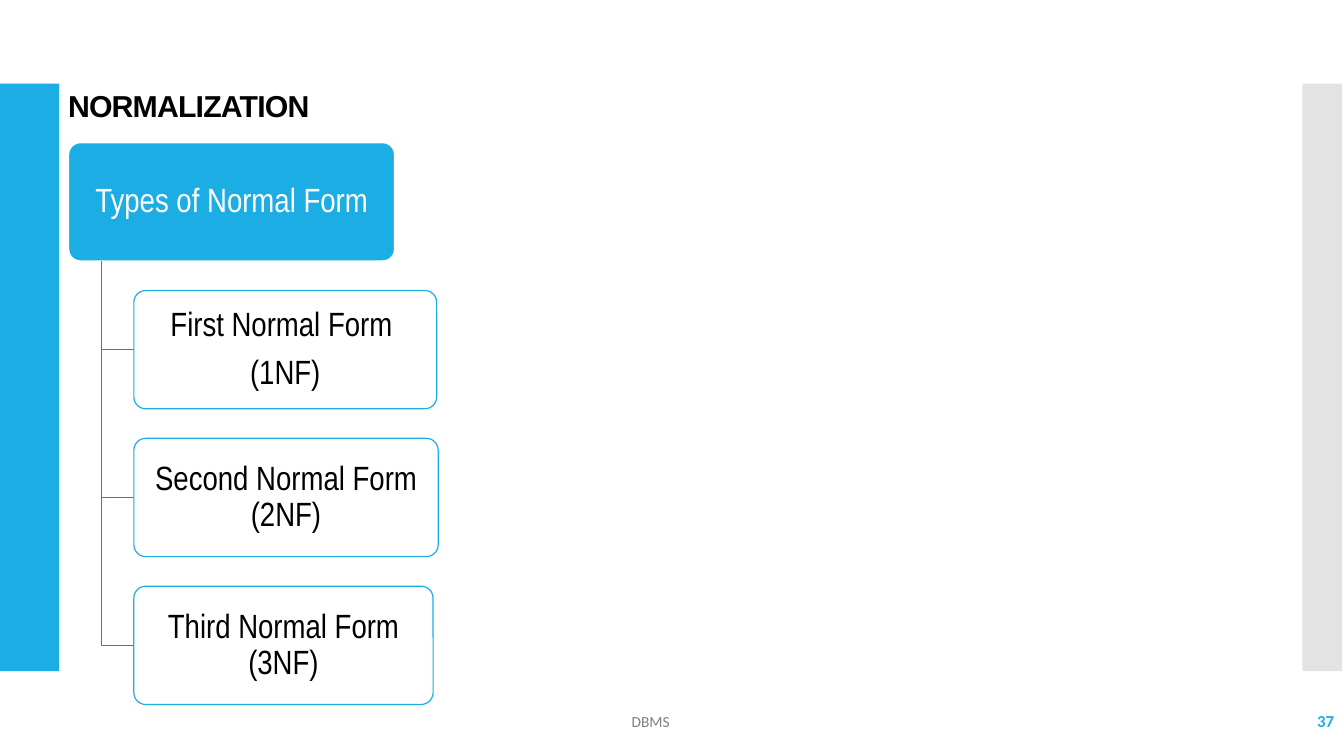
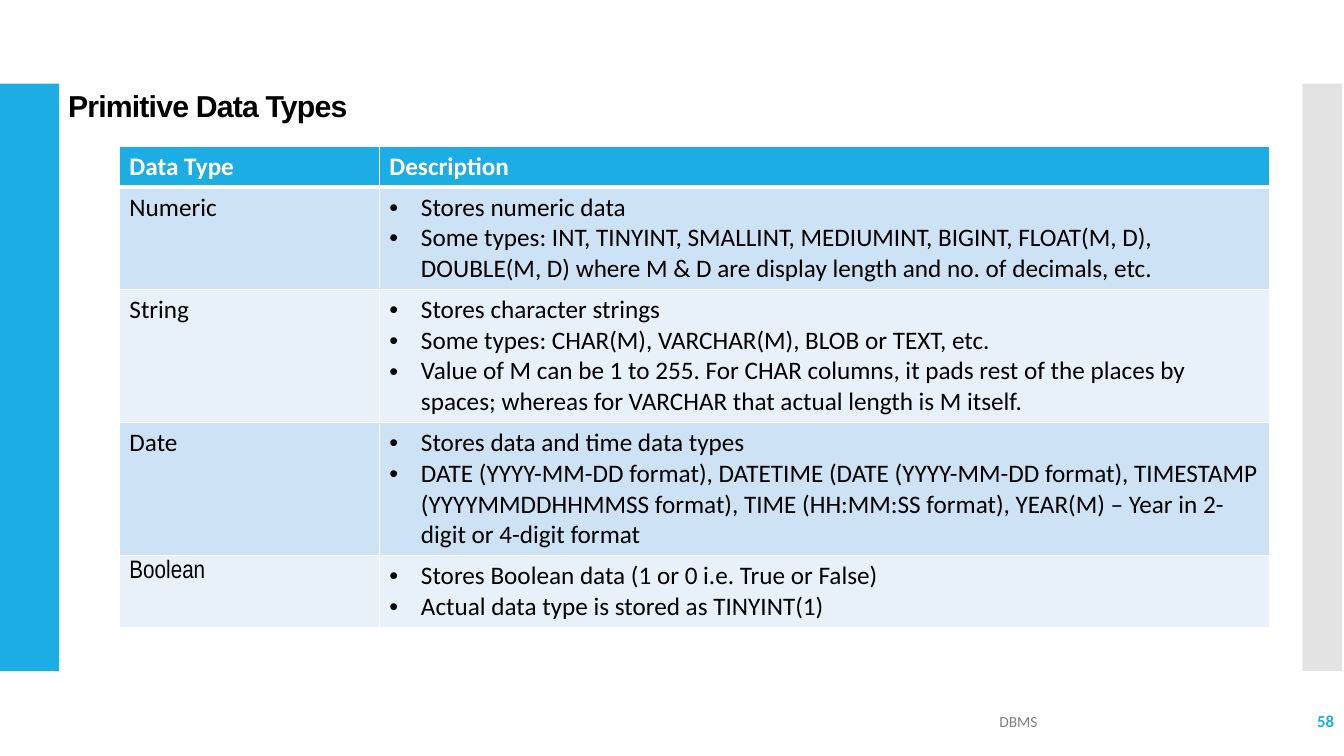
"""Build two DBMS lecture slides: normal forms and primitive data types."""
import pptx
import pptx.dml.color
import pptx.enum.shapes
import pptx.enum.text
import pptx.oxml
import pptx.oxml.ns
import pptx.util

Pt = pptx.util.Pt
SHAPES = pptx.enum.shapes.MSO_SHAPE
ALIGN = pptx.enum.text.PP_ALIGN
ANCHOR = pptx.enum.text.MSO_ANCHOR
qn = pptx.oxml.ns.qn

BLUE, BRANCH_BLUE, GRAY, FOOTER_GRAY = "1CADE4", "168BB7", "C8C8C8", "808080"
BLACK, WHITE = "000000", "FFFFFF"
ROW_FILLS = ("CDE3F5", "E8F1FA")
BODY_FONT, TITLE_FONT, DIAGRAM_FONT = "Calibri", "Arial", "Arial Narrow"

NORMAL_FORMS = (
    ("First Normal Form \n(1NF)", 216.3),
    ("Second Normal Form (2NF)", 217.4),
    ("Third Normal Form (3NF)", 213.8),
)
DATA_TYPES = (
    ("Numeric", 73.1, (
        "Stores numeric data",
        "Some types: INT, TINYINT, SMALLINT, MEDIUMINT, BIGINT, FLOAT(M, D), "
        "DOUBLE(M, D) where M & D are display length and no. of decimals, etc.",
    )),
    ("String", 95.1, (
        "Stores character strings",
        "Some types: CHAR(M), VARCHAR(M), BLOB or TEXT, etc.",
        "Value of M can be 1 to 255. For CHAR columns, it pads rest of the places by "
        "spaces; whereas for VARCHAR that actual length is M itself.",
    )),
    ("Date", 95.1, (
        "Stores data and time data types",
        "DATE (YYYY-MM-DD format), DATETIME (DATE (YYYY-MM-DD format), TIMESTAMP "
        "(YYYYMMDDHHMMSS format), TIME (HH:MM:SS format), YEAR(M) – Year in 2-digit "
        "or 4-digit format",
    )),
    ("Boolean", 51.2, (
        "Stores Boolean data (1 or 0 i.e. True or False)",
        "Actual data type is stored as TINYINT(1)",
    )),
)


def rgb(color):
    return pptx.dml.color.RGBColor.from_string(color)


def set_fill(fill, color, opacity=100):
    fill.solid()
    fill.fore_color.rgb = rgb(color)
    if opacity < 100:
        tint = fill._xPr.find(".//" + qn("a:srgbClr"))
        alpha = tint.makeelement(qn("a:alpha"), {"val": str(opacity * 1000)})
        tint.append(alpha)


def style_run(run, size, color, font, bold=False):
    run.font.size = Pt(size)
    run.font.name = font
    run.font.bold = bold
    run.font.color.rgb = rgb(color)


def add_label(slide, text, box, size, color, font=BODY_FONT, bold=False, align=ALIGN.LEFT):
    frame = slide.shapes.add_textbox(*map(Pt, box)).text_frame
    frame.word_wrap = True
    frame.vertical_anchor = ANCHOR.MIDDLE
    frame.text = text
    line = frame.paragraphs[0]
    line.alignment = align
    style_run(line.runs[0], size, color, font, bold)
    return line


def add_band(slide, left, width, color, opacity=100):
    band = slide.shapes.add_shape(SHAPES.RECTANGLE, Pt(left), Pt(59.7), Pt(width), Pt(419.8))
    band.shadow.inherit = False
    band.line.fill.background()
    set_fill(band.fill, color, opacity)


def add_page(deck, title, number, footer_left, footer_width):
    slide = deck.slides.add_slide(deck.slide_layouts[6])
    add_band(slide, 0, 42.3, BLUE)
    add_band(slide, 930.4, 28.4, GRAY, 50)
    heading = add_label(slide, title, (41.5, 62.7, 752, 29), 21.6, BLACK, TITLE_FONT, True)
    heading.line_spacing = 0.9
    heading.runs[0].font._element.set("spc", "-60")
    add_label(slide, "DBMS", (footer_left, 500.6, footer_width, 28.8), 11, FOOTER_GRAY,
              align=ALIGN.CENTER)
    add_label(slide, number, (839.6, 500.6, 120.4, 28.8), 12, BLUE, bold=True,
              align=ALIGN.RIGHT)
    return slide


def set_line(shape, color):
    shape.shadow.inherit = False
    shape.line.color.rgb = rgb(color)
    shape.line.width = Pt(0.85)


def add_node(slide, text, box, fill, opacity, border, color):
    node = slide.shapes.add_shape(SHAPES.ROUNDED_RECTANGLE, *map(Pt, box))
    node.adjustments[0] = 0.1
    set_fill(node.fill, fill, opacity)
    set_line(node, border)
    frame = node.text_frame
    frame.word_wrap = True
    frame.vertical_anchor = ANCHOR.MIDDLE
    frame.margin_left = frame.margin_right = Pt(3.6)
    frame.margin_top = frame.margin_bottom = Pt(2.4)
    frame.text = text
    for line in frame.paragraphs:
        line.alignment = ALIGN.CENTER
        line.line_spacing = 0.9
        line.space_after = Pt(8.4)
        style_run(line.runs[0], 24, color, DIAGRAM_FONT)


def add_branch(slide, left, top, right, bottom):
    outline = slide.shapes.build_freeform(Pt(left), Pt(top))
    outline.add_line_segments([(Pt(left), Pt(bottom)), (Pt(right), Pt(bottom))], close=False)
    branch = outline.convert_to_shape()
    branch.fill.background()
    set_line(branch, BRANCH_BLUE)


def add_normal_forms(slide):
    top, height, pitch = 101.9, 84.5, 105.6
    trunk, left = 72.3, 95.6
    add_node(slide, "Types of Normal Form", (49, top, 232.8, height), BLUE, 100, WHITE, WHITE)
    for level, (form, width) in enumerate(NORMAL_FORMS, 1):
        node_top = top + level * pitch
        add_branch(slide, trunk, top + height, left, node_top + height / 2)
        add_node(slide, form, (left, node_top, width, height), WHITE, 90, BLUE, BLACK)


def set_borders(cell, top, bottom):
    properties = cell._tc.get_or_add_tcPr()
    widths = (("L", 1), ("R", 1), ("T", top), ("B", bottom))
    for position, (side, width) in enumerate(widths):
        properties.insert(position, pptx.oxml.parse_xml(
            f'<a:ln{side} xmlns:a="http://schemas.openxmlformats.org/drawingml/2006/main" '
            f'w="{Pt(width)}"><a:solidFill><a:srgbClr val="{WHITE}"/></a:solidFill>'
            f'</a:ln{side}>'))


def add_bullet(line):
    properties = line._p.get_or_add_pPr()
    properties.set("marL", str(Pt(22.5)))
    properties.set("indent", str(Pt(-22.5)))
    for tag, values in (("a:buFont", {"typeface": "Arial"}), ("a:buChar", {"char": "•"})):
        properties.append(properties.makeelement(qn(tag), values))


def fill_cell(cell, lines, fill, color, font=BODY_FONT, bold=False, bulleted=False,
              top=1, bottom=1):
    set_fill(cell.fill, fill)
    set_borders(cell, top, bottom)
    cell.text_frame.text = "\n".join(lines)
    for line in cell.text_frame.paragraphs:
        if bulleted:
            add_bullet(line)
        style_run(line.runs[0], 18, color, font, bold)


def add_type_table(slide):
    heights = [28.3] + [height for _, height, _ in DATA_TYPES]
    widths = (185.7, 635.8)
    table = slide.shapes.add_table(len(heights), len(widths), Pt(85.3), Pt(104.8),
                                   Pt(sum(widths)), Pt(sum(heights))).table
    for column, width in zip(table.columns, widths):
        column.width = Pt(width)
    for row, height in zip(table.rows, heights):
        row.height = Pt(height)
    for column, heading in enumerate(("Data Type", "Description")):
        fill_cell(table.cell(0, column), [heading], BLUE, WHITE, bold=True, bottom=3)
    for row, (data_type, _, facts) in enumerate(DATA_TYPES, 1):
        fill = ROW_FILLS[(row - 1) % 2]
        top = 3 if row == 1 else 1
        font = DIAGRAM_FONT if data_type == "Boolean" else BODY_FONT
        fill_cell(table.cell(row, 0), [data_type], fill, BLACK, font, top=top)
        fill_cell(table.cell(row, 1), facts, fill, BLACK, bulleted=True, top=top)


def main():
    deck = pptx.Presentation()
    deck.slide_width, deck.slide_height = Pt(960), Pt(540)
    add_normal_forms(add_page(deck, "NORMALIZATION", "37", 236.9, 455.8))
    add_type_table(add_page(deck, "Primitive Data Types", "58", 494.6, 465.8))
    deck.save("out.pptx")


if __name__ == "__main__":
    main()
